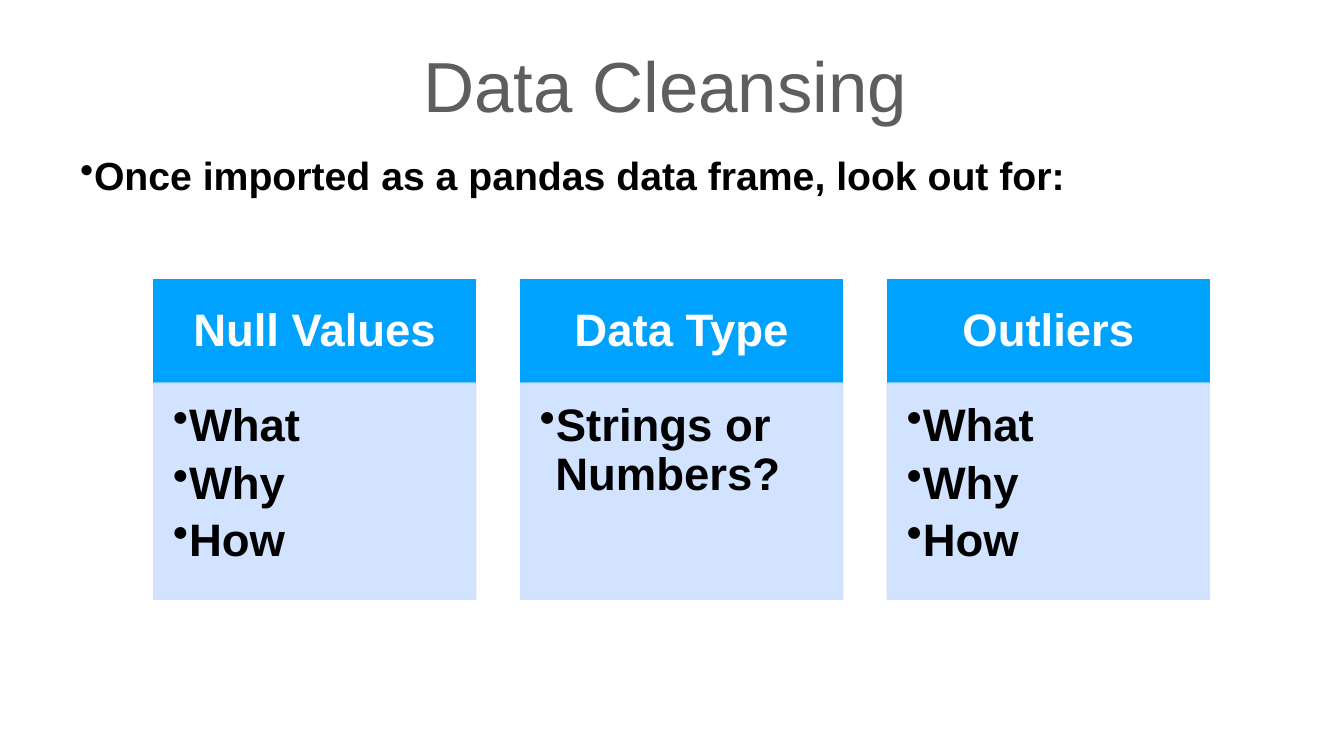
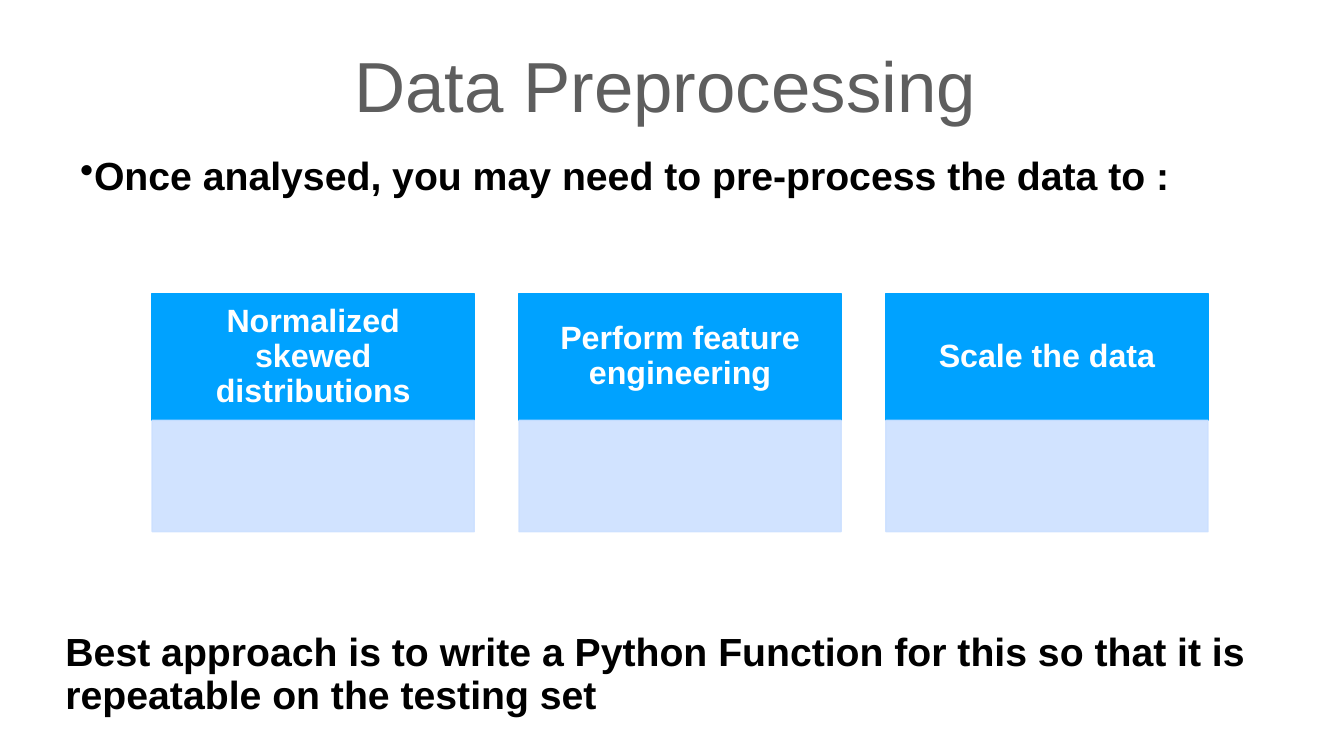
"""Build two slides on cleansing and preparing data."""
from dataclasses import dataclass

import pptx
import pptx.dml.color
import pptx.enum.shapes
import pptx.enum.text
import pptx.oxml.ns
import pptx.slide
import pptx.text.text
import pptx.util
from lxml import etree

Inches = pptx.util.Inches
Pt = pptx.util.Pt
Align = pptx.enum.text.PP_ALIGN
Anchor = pptx.enum.text.MSO_ANCHOR
Box = tuple[float, float, float, float]


@dataclass(frozen=True)
class Theme:
    font: str = "Arial"
    title: str = "5E5E5E"
    head: str = "00A2FF"
    body: str = "CCE0FF"
    light: str = "FFFFFF"
    dark: str = "000000"
    alpha: int = 90
    title_size: float = 101.2
    text_size: float = 56
    card_size: float = 65
    step_size: float = 46


@dataclass(frozen=True)
class Style:
    size: float
    color: str
    bold: bool = True
    align: Align = Align.LEFT
    line: float = 0.9
    after: float = 0
    indent: float = 0
    level: int = 0


@dataclass(frozen=True)
class Card:
    head: str
    items: tuple[str, ...] = ()


@dataclass(frozen=True)
class Row:
    left: float
    top: float
    head: float
    body: float
    size: float
    inset: Box
    cards: tuple[Card, ...]


@dataclass(frozen=True)
class Page:
    title: str
    lead: str
    row: Row
    note: str = ""


THEME = Theme()
WIDE, PITCH = 6.39, 7.28
TITLE = Style(THEME.title_size, THEME.title, False, Align.CENTER, 1)
LEAD = Style(THEME.text_size, THEME.dark, indent=0.25)
NOTE = Style(THEME.text_size, THEME.dark)
ITEM = Style(THEME.card_size, THEME.dark, after=12, indent=0.31, level=1)
PLAIN: Box = (0.1, 0.05, 0.1, 0.05)

TRIO = ("What", "Why", "How")
PAGES = (
    Page("Data Cleansing",
         "Once imported as a pandas data frame, look out for:",
         Row(3.05, 5.55, 2.05, 4.29, THEME.card_size, (0.51, 0.29, 0.51, 0.29),
             (Card("Null Values", TRIO),
              Card("Data Type", ("Strings or Numbers?",)),
              Card("Outliers", TRIO)))),
    Page("Data Preprocessing",
         "Once analysed, you may need to pre-process the data to :",
         Row(3.02, 5.82, 2.52, 2.21, THEME.step_size, (0.36, 0.2, 0.36, 0.2),
             (Card("Normalized skewed distributions"),
              Card("Perform feature engineering"),
              Card("Scale the data"))),
         "Best approach is to write a Python Function for this "
         "so that it is repeatable on the testing set"),
)


def rgb(color: str) -> pptx.dml.color.RGBColor:
    return pptx.dml.color.RGBColor.from_string(color)


def add_bullet(para, indent: float) -> None:
    props = para._p.get_or_add_pPr()
    props.set("marL", str(Inches(indent)))
    props.set("indent", str(-Inches(indent)))
    mark = etree.SubElement(props, pptx.oxml.ns.qn("a:buChar"))
    mark.set("char", "•")


def write(frame: pptx.text.text.TextFrame, lines: tuple[str, ...], style: Style,
          inset: Box = PLAIN, anchor: Anchor = Anchor.TOP) -> None:
    frame.word_wrap = True
    frame.vertical_anchor = anchor
    (frame.margin_left, frame.margin_top,
     frame.margin_right, frame.margin_bottom) = map(Inches, inset)
    for index, line in enumerate(lines):
        para = frame.add_paragraph() if index else frame.paragraphs[0]
        para.text = line
        para.level = style.level
        if style.indent:
            add_bullet(para, style.indent)
        para.alignment = style.align
        para.line_spacing = style.line
        para.space_after = Pt(style.after)
        para.font.name = THEME.font
        para.font.size = Pt(style.size)
        para.font.bold = style.bold
        para.font.color.rgb = rgb(style.color)


def add_text(slide: pptx.slide.Slide, box: Box, line: str, style: Style,
             inset: Box = PLAIN, anchor: Anchor = Anchor.TOP) -> None:
    area = slide.shapes.add_textbox(*map(Inches, box))
    write(area.text_frame, (line,), style, inset, anchor)


def add_rect(slide: pptx.slide.Slide, box: Box, color: str, alpha: int = 100):
    rect = slide.shapes.add_shape(
        pptx.enum.shapes.MSO_SHAPE.RECTANGLE, *map(Inches, box))
    rect.shadow.inherit = False
    rect.line.width = Pt(2)
    for fill in (rect.fill, rect.line.fill):
        fill.solid()
        fill.fore_color.rgb = rgb(color)
    if alpha < 100:
        for tint in rect._element.spPr.iter(pptx.oxml.ns.qn("a:srgbClr")):
            node = etree.SubElement(tint, pptx.oxml.ns.qn("a:alpha"))
            node.set("val", str(alpha * 1000))
    return rect


def add_row(slide: pptx.slide.Slide, row: Row) -> None:
    style = Style(row.size, THEME.light, align=Align.CENTER)
    for index, card in enumerate(row.cards):
        left = row.left + index * PITCH
        head = add_rect(slide, (left, row.top, WIDE, row.head), THEME.head)
        write(head.text_frame, (card.head,), style, row.inset, Anchor.MIDDLE)
        body = add_rect(slide, (left, row.top + row.head, WIDE, row.body),
                        THEME.body, THEME.alpha)
        if card.items:
            write(body.text_frame, card.items, ITEM, (0.38, 0.38, 0.51, 0.57))


def add_page(deck, page: Page) -> None:
    slide = deck.slides.add_slide(deck.slide_layouts[6])
    add_text(slide, (1.82, 0, 22.76, 3.32), page.title, TITLE,
             (0.06, 0.06, 0.06, 0.06), Anchor.MIDDLE)
    add_row(slide, page.row)
    add_text(slide, (1.49, 3.06, 24.59, 1.25), page.lead, LEAD)
    if page.note:
        add_text(slide, (1.2, 12.51, 24.59, 1.9), page.note, NOTE)


def main() -> None:
    deck = pptx.Presentation()
    deck.slide_width, deck.slide_height = Inches(26.67), Inches(15)
    for page in PAGES:
        add_page(deck, page)
    deck.save("out.pptx")


if __name__ == "__main__":
    main()
